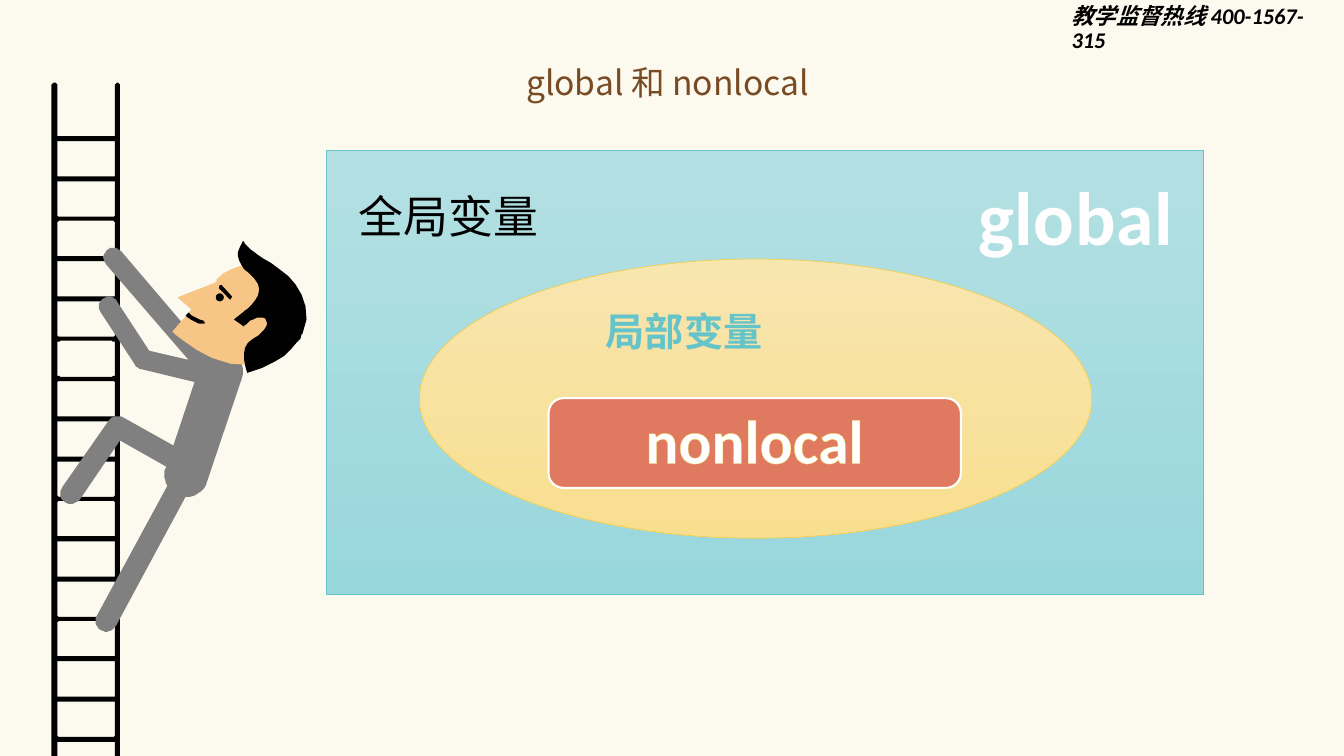
from lxml.etree import SubElement, fromstring
from pptx import Presentation
from pptx.dml.color import RGBColor
from pptx.enum.dml import MSO_PATTERN
from pptx.enum.shapes import MSO_SHAPE
from pptx.enum.text import MSO_ANCHOR, PP_ALIGN
from pptx.oxml.ns import nsdecls, qn
from pptx.util import Pt

PX = 9144
CJK = "Noto Sans CJK SC"

BODY = [(176, 147), (169, 145, 162, 147, 156, 150), (70, 49), (66, 45, 60, 45, 56, 48),
        (52, 52, 51, 58, 55, 62), (137, 157), (98, 148), (66, 99), (63, 94, 57, 93, 53, 96),
        (48, 99, 47, 105, 50, 110), (84, 162), (85, 164, 87, 165, 89, 166), (143, 179),
        (122, 242), (72, 214), (67, 211, 61, 213, 58, 217), (12, 283), (9, 288, 9, 294, 14, 298),
        (19, 301, 26, 300, 29, 296), (69, 237), (115, 263), (114, 265),
        (112, 271, 113, 278, 116, 282), (46, 411), (43, 416, 45, 422, 50, 425),
        (52, 426, 54, 427, 55, 427), (59, 427, 63, 424, 65, 421), (134, 293), (135, 293),
        (144, 293, 152, 288, 155, 279), (190, 175), (194, 163, 188, 151, 176, 147)]
FACE = [(162, 81), (163, 81), (164, 80, 165, 79, 165, 77), (182, 59, 211, 57, 229, 74),
        (252, 95, 253, 122, 236, 141), (188, 195, 121, 129, 121, 129), (140, 107), (126, 95)]
HAIR = [(192, 109), (192, 109, 218, 91, 202, 76), (186, 62, 181, 55, 191, 39),
        (191, 39, 195, 47, 212, 57), (229, 66, 266, 91, 250, 131),
        (250, 131, 239, 159, 195, 170), (195, 170, 185, 145, 201, 136),
        (215, 128, 218, 118, 211, 115), (203, 112, 192, 124, 192, 124), (182, 117)]
BROW = [(168, 83), (167, 86), (177, 96), (178, 97, 179, 97, 179, 96),
        (180, 95, 180, 94, 180, 94), (170, 83)]
MOUTH = [(153, 120), (153, 119, 152, 118, 151, 118), (144, 116, 139, 112, 137, 110),
         (134, 113), (135, 114), (138, 117, 143, 120, 150, 121), (152, 121, 153, 121, 153, 120)]


def rgb(value):
    """Turn a hex string into a colour."""
    return RGBColor.from_string(value)


def paint(sp, colors, line=None, width=0.5):
    """Fill a shape with one colour or a downward gradient, and set its line."""
    sp.shadow.inherit = False
    if len(colors) == 1:
        sp.fill.solid()
        sp.fill.fore_color.rgb = rgb(colors[0])
    else:
        sp.fill.gradient()
        sp.fill.gradient_angle = 270
        for stop, color in zip(sp.fill.gradient_stops, colors):
            stop.color.rgb = rgb(color)
    if line:
        sp.line.color.rgb = rgb(line)
        sp.line.width = Pt(width)
    else:
        sp.line.fill.background()


def add_preset(shapes, kind, box, colors, line=None, width=0.5):
    """Add a painted preset shape."""
    sp = shapes.add_shape(kind, *[v * PX for v in box])
    paint(sp, colors, line, width)


def flatten(contour, steps=8):
    """Turn lines and cubic curves into a list of points."""
    points = []
    for part in contour:
        if len(part) == 2:
            points.append(part)
            continue
        ctrl = [points[-1], part[:2], part[2:4], part[4:]]
        for i in range(1, steps + 1):
            t = i / steps
            weights = ((1 - t) ** 3, 3 * t * (1 - t) ** 2, 3 * t * t * (1 - t), t ** 3)
            points.append(tuple(sum(w * c[k] for w, c in zip(weights, ctrl)) for k in (0, 1)))
    return points


def add_outline(shapes, origin, contours, color):
    """Add a freeform of one or more closed contours."""
    x, y = origin
    paths = [[(x + a, y + b) for a, b in flatten(c)] for c in contours]
    builder = shapes.build_freeform(*paths[0][0], scale=PX)
    builder.add_line_segments(paths[0][1:])
    for points in paths[1:]:
        builder.move_to(*points[0])
        builder.add_line_segments(points[1:])
    paint(builder.convert_to_shape(), [color])


def write(sp, text, fmt, align=PP_ALIGN.CENTER, wrap=True, spacing=None):
    """Put one formatted paragraph in a shape and return its run."""
    tf = sp.text_frame
    tf.word_wrap = wrap
    tf.vertical_anchor = MSO_ANCHOR.TOP
    p = tf.paragraphs[0]
    p.alignment = align
    p.line_spacing = spacing
    r = p.add_run()
    r.text = text
    fmt = {"name": "Calibri", "bold": False, **fmt}
    color = fmt.pop("color")
    r.font.color.rgb = rgb(color)
    for key, value in fmt.items():
        setattr(r.font, key, value)
    SubElement(r.font._element, qn("a:ea"), typeface=CJK)
    return r


def add_label(shapes, box, text, fmt, **options):
    """Add a text box holding one line of text."""
    return write(shapes.add_textbox(*[v * PX for v in box]), text, fmt, **options)


def outline_text(r, color, width):
    """Give the letters of a run a coloured outline."""
    r.font._element.insert(0, fromstring(
        f'<a:ln {nsdecls("a")} w="{Pt(width)}"><a:solidFill>'
        f'<a:srgbClr val="{color}"/></a:solidFill></a:ln>'))


def add_title(s, box):
    """Place and format the slide title."""
    sp = s.shapes.title
    sp.left, sp.top, sp.width, sp.height = [v * PX for v in box]
    write(sp, "global 和 nonlocal", {"size": Pt(24), "name": CJK, "color": "784B23"})


def add_ladder(shapes, box):
    """Draw two rails with evenly spaced rungs."""
    x, y, w, h = box
    left, right, pitch = 6, w - 5, 39.7
    frame = [(0, h), (0, 3), (0, -1, left, -1, left, 3), (left, 51), (left, 53, left, 53, 9, 53),
             (right - 3, 53), (right, 53, right, 53, right, 51), (right, 3),
             (right, -1, w, -1, w, 3), (w, h)]
    contours = [frame]
    for i in range(16):
        top = 58 + i * pitch
        end = min(top + 35, h)
        contours.append([
            (left, top + 3), (left, end - 3), (left, end, left, end, left + 3, end),
            (right - 3, end), (right, end, right, end, right, end - 3), (right, top + 3),
            (right, top, right, top, right - 3, top), (left + 3, top),
            (left, top, left, top, left, top + 3)])
    add_outline(shapes, (x, y), contours, "010101")


def add_climber(shapes, origin):
    """Draw the climbing figure."""
    x, y = origin
    for contour, color in ((BODY, "808080"), (FACE, "F7C586"), (HAIR, "010101"),
                           (BROW, "010101"), (MOUTH, "010101")):
        add_outline(shapes, origin, [contour], color)
    add_preset(shapes, MSO_SHAPE.OVAL, (x + 164, y + 91, 8, 8), ["010101"])


def add_scopes(shapes, box):
    """Draw the nested global, local and nonlocal scopes."""
    x, y, w, h = box
    add_preset(shapes, MSO_SHAPE.RECTANGLE, box, ["B4E0E3", "98D7DC"], "65C4CA")
    add_label(shapes, (x + 21, y + 33, 200, 64), "全局变量",
              {"size": Pt(32), "color": "000000"}, wrap=False)
    add_preset(shapes, MSO_SHAPE.OVAL, (x + 92, y + 108, 667, 277),
               ["F8E6AF", "F8DE8F"], "EECE52")
    add_label(shapes, (x + 235, y + 151, 239, 57), "局部变量",
              {"size": Pt(28), "color": "65C4CA", "bold": True})
    add_preset(shapes, MSO_SHAPE.ROUNDED_RECTANGLE, (x + 220, y + 246, 409, 89),
               ["DF7A60"], "FFFFFF", 1.5)
    r = add_label(shapes, (x + w - 235, y + 15, 216, 101), "global",
                  {"size": Pt(54), "color": "FEFEFE", "bold": True}, wrap=False)
    outline_text(r, "65C4CA", 0.75)
    r.font._element.set("spc", "50")
    r.font._element.insert(2, fromstring(
        f'<a:effectLst {nsdecls("a")}><a:outerShdw dist="38100" dir="2700000">'
        '<a:srgbClr val="65C4CA"/></a:outerShdw></a:effectLst>'))
    r = add_label(shapes, (x + 305, y + 245, 239, 84), "nonlocal",
                  {"size": Pt(44), "color": "FFFFFF", "bold": True}, wrap=False)
    r.font.fill.patterned()
    r.font.fill.pattern = MSO_PATTERN.LIGHT_DOWNWARD_DIAGONAL
    r.font.fill.fore_color.rgb = rgb("F5E297")
    r.font.fill.back_color.rgb = rgb("FFFFFF")
    outline_text(r, "EECE52", 1)


def main():
    """Build and save the slide."""
    prs = Presentation()
    prs.slide_width, prs.slide_height = 1333 * PX, 750 * PX
    s = prs.slides.add_slide(prs.slide_layouts[5])
    s.background.fill.solid()
    s.background.fill.fore_color.rgb = rgb("FCF9EF")
    add_label(s.shapes, (1053, 0, 280, 39), "教学监督热线 400-1567-315",
              {"size": Pt(16), "color": "000000", "bold": True, "italic": True},
              align=PP_ALIGN.LEFT, spacing=0.9)
    figure = s.shapes.add_group_shape().shapes
    add_ladder(figure, (51, 82, 68, 668))
    add_climber(figure, (50, 200))
    add_title(s, (442, 56, 440, 50))
    add_scopes(s.shapes, (324, 149, 870, 441))
    prs.save("out.pptx")


if __name__ == "__main__":
    main()
